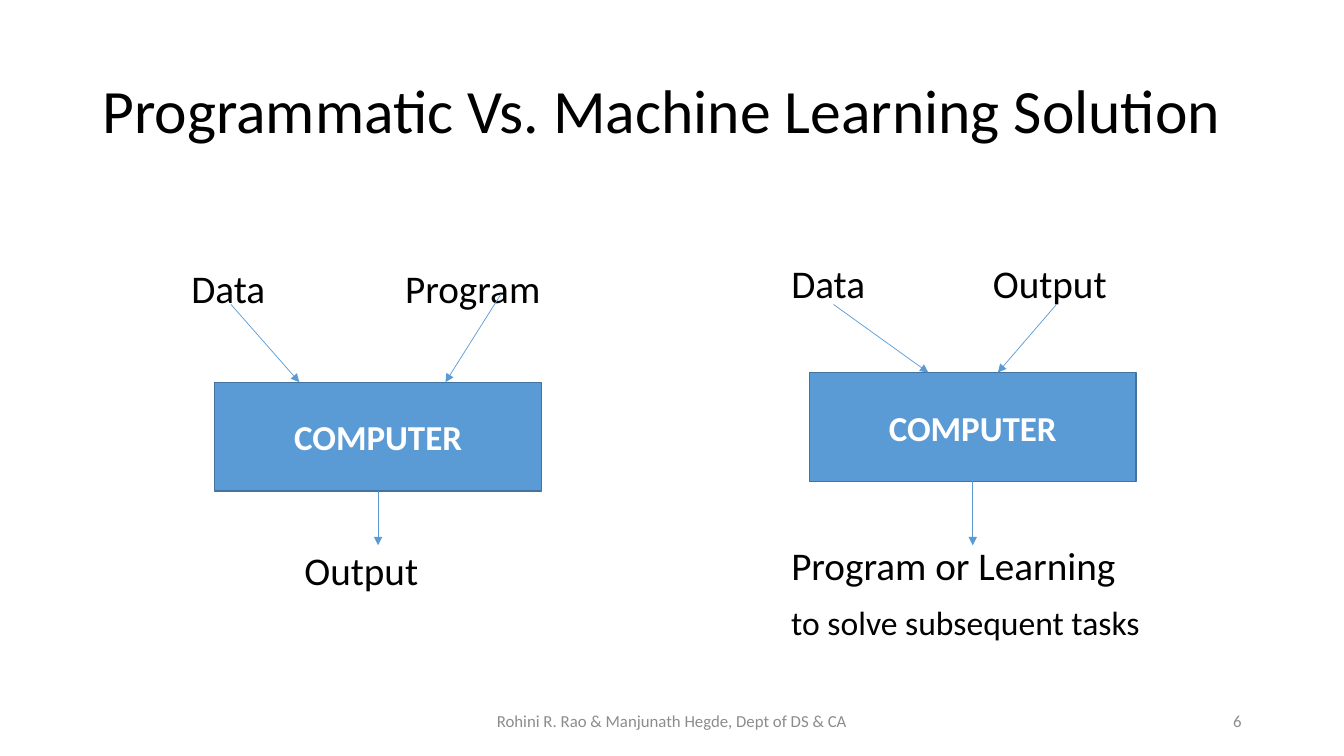
from lxml import etree
from pptx import Presentation
from pptx.dml.color import RGBColor
from pptx.enum.shapes import MSO_CONNECTOR, MSO_SHAPE
from pptx.enum.text import MSO_ANCHOR, MSO_AUTO_SIZE, PP_ALIGN
from pptx.oxml.ns import qn
from pptx.util import Pt


def rgb(value):
    return RGBColor.from_string(value)


def write(shape, text, size=28, color="000000", bold=False, align=PP_ALIGN.LEFT,
          anchor=MSO_ANCHOR.MIDDLE, wrap=True, spacing=1.0, inset=7.2):
    tf = shape.text_frame
    tf.auto_size = MSO_AUTO_SIZE.NONE
    tf.word_wrap = wrap
    tf.vertical_anchor = anchor
    tf.margin_left = tf.margin_right = Pt(inset)
    tf.margin_top = tf.margin_bottom = Pt(inset / 2)
    p = tf.paragraphs[0]
    p.alignment = align
    p.line_spacing = spacing
    r = p.add_run()
    r.text = text
    r.font.name = "Calibri"
    r.font.size = Pt(size)
    r.font.bold = bold
    r.font.color.rgb = rgb(color)


prs = Presentation()
prs.slide_width, prs.slide_height = Pt(960), Pt(540)
s = prs.slides.add_slide(prs.slide_layouts[5])

title = s.shapes.title
title.left, title.top, title.width, title.height = Pt(66), Pt(28.75), Pt(828), Pt(104.4)
write(title, "Programmatic Vs. Machine Learning Solution", size=44, spacing=0.9)

labels = [
    ("Data", 136.7, 188.5, 60, 28),
    ("Program", 289.4, 188.5, 105, 28),
    ("Output", 217.4, 390, 90, 28),
    ("Data", 565.2, 185, 60, 28),
    ("Output", 709.2, 185, 90, 28),
    ("Program or Learning", 565.2, 386.5, 240, 28),
    ("to solve subsequent tasks", 565.2, 430, 260, 24),
]
for text, x, y, w, size in labels:
    tb = s.shapes.add_textbox(Pt(x), Pt(y), Pt(w), Pt(size * 1.25))
    write(tb, text, size=size, anchor=MSO_ANCHOR.TOP, wrap=False, inset=0)

footers = [
    ("Rohini R. Rao & Manjunath Hegde, Dept of DS & CA", 318, 324, PP_ALIGN.CENTER),
    ("6", 678, 216, PP_ALIGN.RIGHT),
]
for text, x, w, align in footers:
    tb = s.shapes.add_textbox(Pt(x), Pt(500.5), Pt(w), Pt(28.75))
    write(tb, text, size=12, color="8C8C8C", align=align)

diagrams = [
    (153.4, 273, [(165, 217.5, 213.8), (357.8, 210.2, 318.2)]),
    (578.2, 266.1, [(595.4, 217.5, 663.1), (754.6, 217.5, 712.8)]),
]
box_w, box_h, output_y = 233.3, 77.8, 389.5
for x, y, inputs in diagrams:
    computer = s.shapes.add_shape(MSO_SHAPE.RECTANGLE, Pt(x), Pt(y), Pt(box_w), Pt(box_h))
    computer.shadow.inherit = False
    computer.fill.solid()
    computer.fill.fore_color.rgb = rgb("5B9BD5")
    computer.line.color.rgb = rgb("43739E")
    computer.line.width = Pt(1)
    write(computer, "COMPUTER", size=25, color="FFFFFF", bold=True, align=PP_ALIGN.CENTER)

    mid = x + box_w / 2
    arrows = [(x1, y1, x2, y) for x1, y1, x2 in inputs]
    arrows.append((mid, y + box_h, mid, output_y))
    for x1, y1, x2, y2 in arrows:
        arrow = s.shapes.add_connector(MSO_CONNECTOR.STRAIGHT, Pt(x1), Pt(y1), Pt(x2), Pt(y2))
        arrow.line.color.rgb = rgb("5B9BD5")
        arrow.line.width = Pt(0.5)
        etree.SubElement(arrow.line._get_or_add_ln(), qn("a:tailEnd"), type="triangle")
        etree.SubElement(arrow._element.spPr, qn("a:effectLst"))
    arrow.begin_connect(computer, 2)

prs.save("out.pptx")
